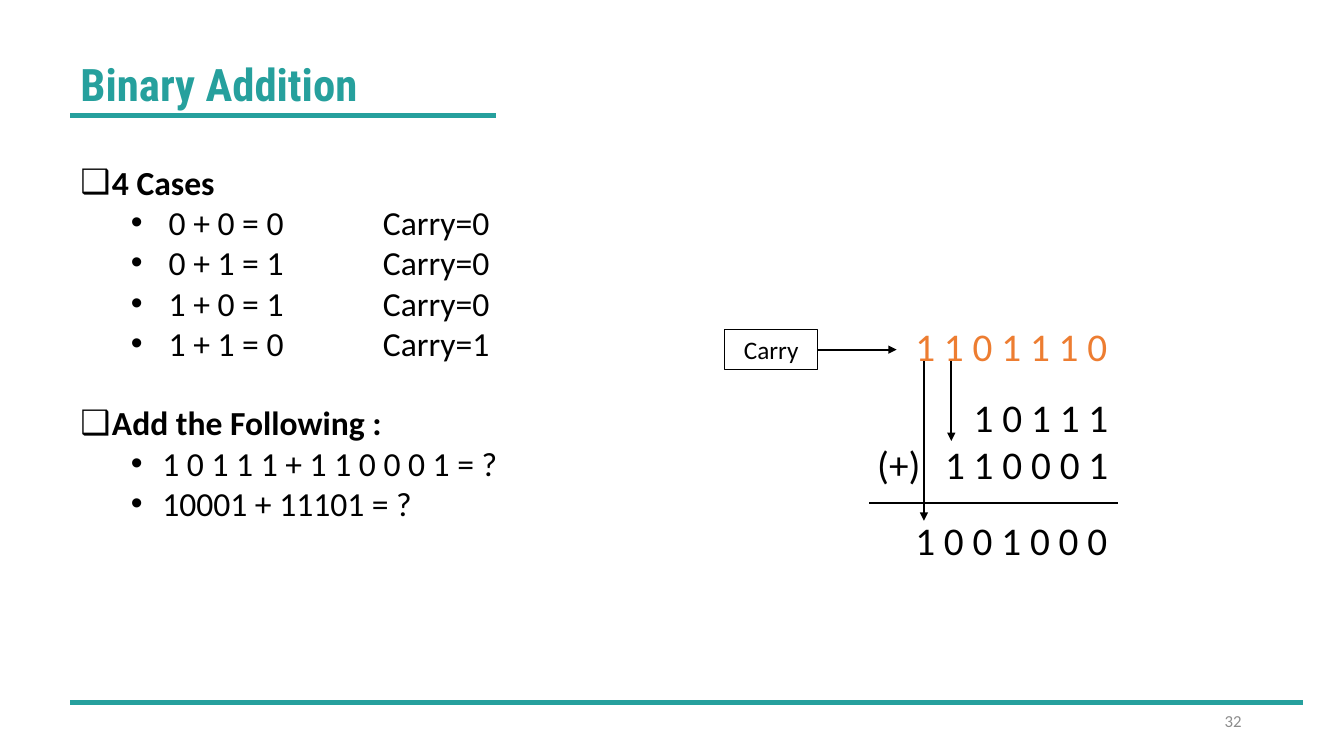
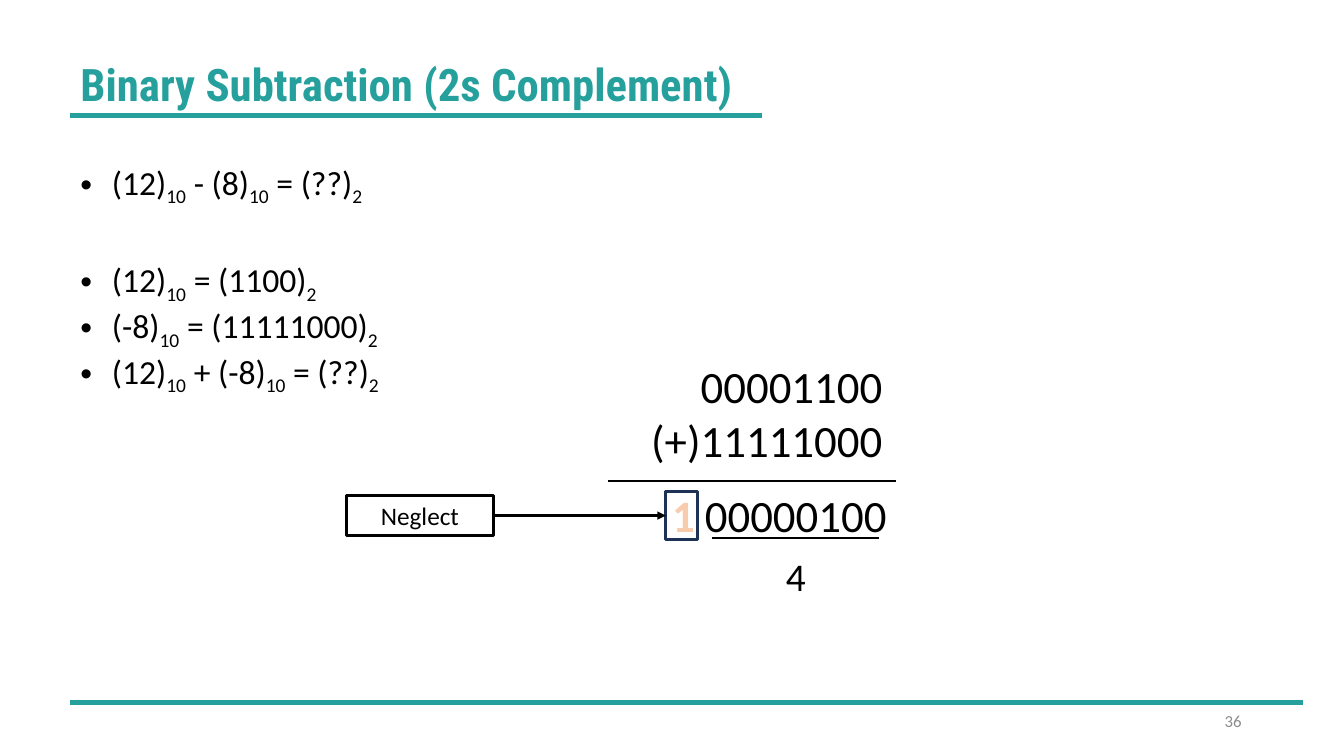
import dataclasses
import typing

import lxml.etree
import pptx
import pptx.dml.color
import pptx.enum.shapes
import pptx.enum.text
import pptx.oxml
import pptx.oxml.ns
import pptx.presentation
import pptx.shapes.autoshape
import pptx.shapes.connector
import pptx.slide
import pptx.text.text
import pptx.util

EMU_PER_PX = 9525
ALIGN = pptx.enum.text.PP_ALIGN
ANCHOR = pptx.enum.text.MSO_ANCHOR


@dataclasses.dataclass(frozen=True)
class Theme:
    teal: str = "26A09D"
    ink: str = "000000"
    gray: str = "8C8C8C"
    orange: str = "ED7D31"
    peach: str = "F8CBAD"
    navy: str = "1E3256"
    title_font: str = "Roboto Condensed"
    body_font: str = "Calibri"
    title_size: int = 32
    list_size: int = 24
    label_size: int = 18
    number_size: int = 12
    sum_size: int = 28
    large_sum_size: int = 32
    rule_width: float = 3
    line_width: float = 1.5


THEME = Theme()


class Box(typing.NamedTuple):
    left: int
    top: int
    width: int
    height: int


class Segment(typing.NamedTuple):
    x1: int
    y1: int
    x2: int
    y2: int


class Bullet(typing.NamedTuple):
    mark: str
    level: int
    margin: int
    hanging: int


@dataclasses.dataclass(frozen=True)
class Item:
    """A list entry; every second piece is a subscript."""

    pieces: tuple[str, ...]
    bullet: Bullet
    bold: bool = False
    space_before: int = 0


@dataclasses.dataclass(frozen=True)
class Figure:
    """A block of digits or a short sign."""

    box: Box
    lines: tuple[str, ...]
    size: int
    color: str = THEME.ink
    align: ALIGN = ALIGN.RIGHT


HEADING = Bullet("❑", 0, 30, 30)
CASE = Bullet("•", 1, 84, 36)
TASK = Bullet("•", 1, 78, 30)
POINT = Bullet("•", 0, 30, 30)

TITLE_BOX = Box(67, 49, 723, 61)
NUMBER_BOX = Box(904, 667, 288, 38)
LIST_LEFT, LIST_TOP, LIST_WIDTH = 67, 149, 526
TITLE_RULE_Y = 110
FOOTER_RULE = Segment(67, 669, 1241, 669)
TAB_WIDTH = 96

ADDITION_ITEMS = (
    Item(("4 Cases",), HEADING, bold=True),
    Item(("0 + 0 = 0\tCarry=0",), CASE),
    Item(("0 + 1 = 1\tCarry=0",), CASE),
    Item(("1 + 0 = 1\tCarry=0",), CASE),
    Item(("1 + 1 = 0\tCarry=1",), CASE),
    Item(("Add the Following :",), HEADING, bold=True, space_before=28),
    Item(("1 0 1 1 1 + 1 1 0 0 0 1 = ?",), TASK),
    Item(("10001 + 11101 = ?",), TASK),
)
SUBTRACTION_ITEMS = (
    Item(("(12)", "10", " - (8)", "10", " = (??)", "2"), POINT),
    Item(("(12)", "10", " = (1100)", "2"), POINT, space_before=37),
    Item(("(-8)", "10", " = (11111000)", "2"), POINT),
    Item(("(12)", "10", " + (-8)", "10", " = (??)", "2"), POINT),
)
ADDITION_FIGURES = (
    Figure(Box(814, 370, 251, 100), ("1 0 1 1 1", "1 1 0 0 0 1"), THEME.sum_size),
    Figure(Box(826, 415, 70, 55), ("(+)",), THEME.sum_size, align=ALIGN.LEFT),
    Figure(Box(828, 487, 236, 55), ("1 0 0 1 0 0 0",), THEME.sum_size),
    Figure(Box(828, 302, 236, 55), ("1 1 0 1 1 1 0",), THEME.sum_size, THEME.orange),
)
SUBTRACTION_FIGURES = (
    Figure(Box(580, 337, 270, 113), ("00001100", "(+)11111000"), THEME.large_sum_size),
    Figure(Box(726, 521, 64, 55), ("4",), THEME.sum_size, align=ALIGN.CENTER),
)
RESULT_BOX = Box(580, 460, 274, 61)


def px(length: int) -> pptx.util.Emu:
    return pptx.util.Emu(length * EMU_PER_PX)


def rgb(color: str) -> pptx.dml.color.RGBColor:
    return pptx.dml.color.RGBColor.from_string(color)


def set_attributes(target: object, values: dict[str, object]) -> None:
    for name, value in values.items():
        setattr(target, name, value)


def place(shape: pptx.shapes.autoshape.Shape, box: Box) -> None:
    set_attributes(shape, {name: px(value) for name, value in box._asdict().items()})


def add_run(paragraph: pptx.text.text._Paragraph, text: str, size: int,
            color: str = THEME.ink, font: str = THEME.body_font,
            bold: bool = False) -> pptx.text.text._Run:
    run = paragraph.add_run()
    run.text = text
    set_attributes(run.font, {"name": font, "size": pptx.util.Pt(size), "bold": bold})
    run.font.color.rgb = rgb(color)
    return run


def prepare_frame(shape: pptx.shapes.autoshape.Shape,
                  anchor: ANCHOR = ANCHOR.TOP) -> pptx.text.text.TextFrame:
    frame = shape.text_frame
    set_attributes(frame, {
        "word_wrap": True,
        "auto_size": pptx.enum.text.MSO_AUTO_SIZE.NONE,
        "vertical_anchor": anchor,
    })
    return frame


def add_text_box(slide: pptx.slide.Slide, box: Box,
                 anchor: ANCHOR = ANCHOR.TOP) -> pptx.text.text.TextFrame:
    return prepare_frame(slide.shapes.add_textbox(*map(px, box)), anchor)


def next_paragraph(frame: pptx.text.text.TextFrame, index: int) -> pptx.text.text._Paragraph:
    return frame.add_paragraph() if index else frame.paragraphs[0]


def add_line(slide: pptx.slide.Slide, segment: Segment, color: str = THEME.ink,
             width: float = THEME.line_width,
             arrow: bool = False) -> pptx.shapes.connector.Connector:
    connector = slide.shapes.add_connector(
        pptx.enum.shapes.MSO_CONNECTOR.STRAIGHT, *map(px, segment))
    connector.line.color.rgb = rgb(color)
    connector.line.width = pptx.util.Pt(width)
    if arrow:
        tail = lxml.etree.SubElement(
            connector.line._get_or_add_ln(), pptx.oxml.ns.qn("a:tailEnd"))
        tail.set("type", "triangle")
    lxml.etree.SubElement(connector._element.spPr, pptx.oxml.ns.qn("a:effectLst"))
    return connector


def add_frame(slide: pptx.slide.Slide, box: Box, color: str, width: float,
              label: str = "") -> pptx.shapes.autoshape.Shape:
    """Draw an unfilled rectangle, with a centred label if given."""
    shape = slide.shapes.add_shape(
        pptx.enum.shapes.MSO_SHAPE.RECTANGLE, *map(px, box))
    shape.shadow.inherit = False
    shape.fill.background()
    shape.line.color.rgb = rgb(color)
    shape.line.width = pptx.util.Pt(width)
    if label:
        paragraph = prepare_frame(shape, ANCHOR.MIDDLE).paragraphs[0]
        paragraph.alignment = ALIGN.CENTER
        add_run(paragraph, label, THEME.label_size)
    return shape


def add_figure(slide: pptx.slide.Slide, figure: Figure) -> None:
    frame = add_text_box(slide, figure.box)
    for index, line in enumerate(figure.lines):
        paragraph = next_paragraph(frame, index)
        paragraph.alignment = figure.align
        add_run(paragraph, line, figure.size, figure.color)


def set_bullet(paragraph: pptx.text.text._Paragraph, bullet: Bullet) -> None:
    paragraph.level = bullet.level
    properties = paragraph._p.get_or_add_pPr()
    lengths = {"marL": bullet.margin, "indent": -bullet.hanging, "defTabSz": TAB_WIDTH}
    for name, length in lengths.items():
        properties.set(name, str(px(length)))
    for tag, name, value in (("a:buFont", "typeface", "Arial"),
                             ("a:buChar", "char", bullet.mark)):
        lxml.etree.SubElement(properties, pptx.oxml.ns.qn(tag)).set(name, value)


def fill_list(body: pptx.shapes.autoshape.Shape, items: tuple[Item, ...]) -> None:
    frame = prepare_frame(body)
    for index, item in enumerate(items):
        paragraph = next_paragraph(frame, index)
        set_attributes(paragraph, {
            "alignment": ALIGN.LEFT,
            "space_before": pptx.util.Pt(item.space_before),
            "space_after": pptx.util.Pt(0),
        })
        set_bullet(paragraph, item.bullet)
        for position, piece in enumerate(item.pieces):
            run = add_run(paragraph, piece, THEME.list_size, bold=item.bold)
            if position % 2:
                run._r.get_or_add_rPr().set("baseline", "-25000")


def add_base_slide(presentation: pptx.presentation.Presentation, title: str, rule_end: int,
                   number: int, items: tuple[Item, ...],
                   list_height: int) -> pptx.slide.Slide:
    """Add a slide with its title, rules, page number and list."""
    slide = presentation.slides.add_slide(presentation.slide_layouts[1])
    place(slide.shapes.title, TITLE_BOX)
    heading = prepare_frame(slide.shapes.title).paragraphs[0]
    heading.alignment = ALIGN.LEFT
    add_run(heading, title, THEME.title_size, THEME.teal, THEME.title_font, bold=True)
    title_rule = Segment(TITLE_BOX.left, TITLE_RULE_Y, rule_end, TITLE_RULE_Y)
    for rule in (title_rule, FOOTER_RULE):
        add_line(slide, rule, THEME.teal, THEME.rule_width)
    page = add_text_box(slide, NUMBER_BOX, ANCHOR.MIDDLE).paragraphs[0]
    page.alignment = ALIGN.RIGHT
    add_run(page, str(number), THEME.number_size, THEME.gray)
    body = slide.placeholders[1]
    place(body, Box(LIST_LEFT, LIST_TOP, LIST_WIDTH, list_height))
    fill_list(body, items)
    return slide


def add_addition_slide(presentation: pptx.presentation.Presentation) -> None:
    slide = add_base_slide(presentation, "Binary Addition", 472, 32, ADDITION_ITEMS, 383)
    for figure in ADDITION_FIGURES:
        add_figure(slide, figure)
    add_line(slide, Segment(828, 479, 1065, 479))
    carry = add_frame(slide, Box(690, 314, 89, 38), THEME.ink, 0.75, "Carry")
    carry_arrow = add_line(slide, Segment(779, 333, 854, 333), arrow=True)
    carry_arrow.begin_connect(carry, 3)
    for x, bottom in ((880, 496), (906, 420)):
        add_line(slide, Segment(x, 344, x, bottom), arrow=True)


def add_result(slide: pptx.slide.Slide) -> None:
    """Write the sum with its outlined overflow digit."""
    paragraph = add_text_box(slide, RESULT_BOX).paragraphs[0]
    paragraph.alignment = ALIGN.RIGHT
    overflow = add_run(paragraph, "1 ", THEME.large_sum_size, THEME.peach, bold=True)
    overflow._r.get_or_add_rPr().insert(0, pptx.oxml.parse_xml(
        f'<a:ln {pptx.oxml.ns.nsdecls("a")} w="{pptx.util.Pt(1.75)}"><a:solidFill>'
        f'<a:srgbClr val="{THEME.orange}"/></a:solidFill></a:ln>'))
    add_run(paragraph, "00000100", THEME.large_sum_size)


def add_subtraction_slide(presentation: pptx.presentation.Presentation) -> None:
    slide = add_base_slide(presentation, "Binary Subtraction (2s Complement)", 726, 36,
                           SUBTRACTION_ITEMS, 245)
    for figure in SUBTRACTION_FIGURES:
        add_figure(slide, figure)
    add_result(slide)
    for line in (Segment(579, 458, 853, 458), Segment(678, 512, 837, 512)):
        add_line(slide, line)
    overflow = add_frame(slide, Box(634, 468, 30, 46), THEME.navy, 2.25)
    neglect = add_frame(slide, Box(330, 472, 140, 38), THEME.ink, 2.25, "Neglect")
    arrow = add_line(slide, Segment(470, 491, 634, 491), arrow=True)
    arrow.begin_connect(neglect, 3)
    arrow.end_connect(overflow, 1)


def main() -> None:
    presentation = pptx.Presentation()
    set_attributes(presentation, {"slide_width": px(1280), "slide_height": px(720)})
    add_addition_slide(presentation)
    add_subtraction_slide(presentation)
    presentation.save("out.pptx")


if __name__ == "__main__":
    main()
